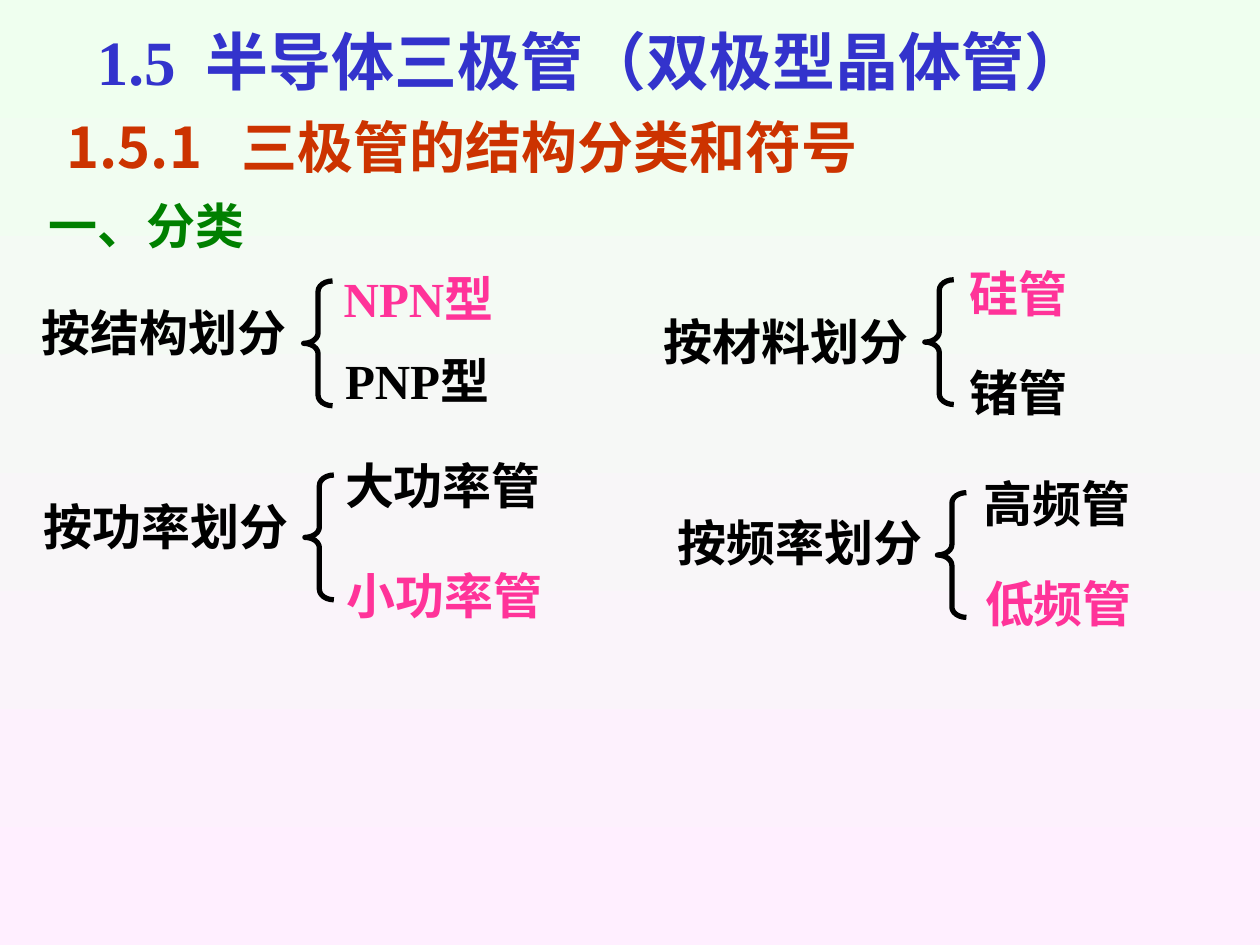
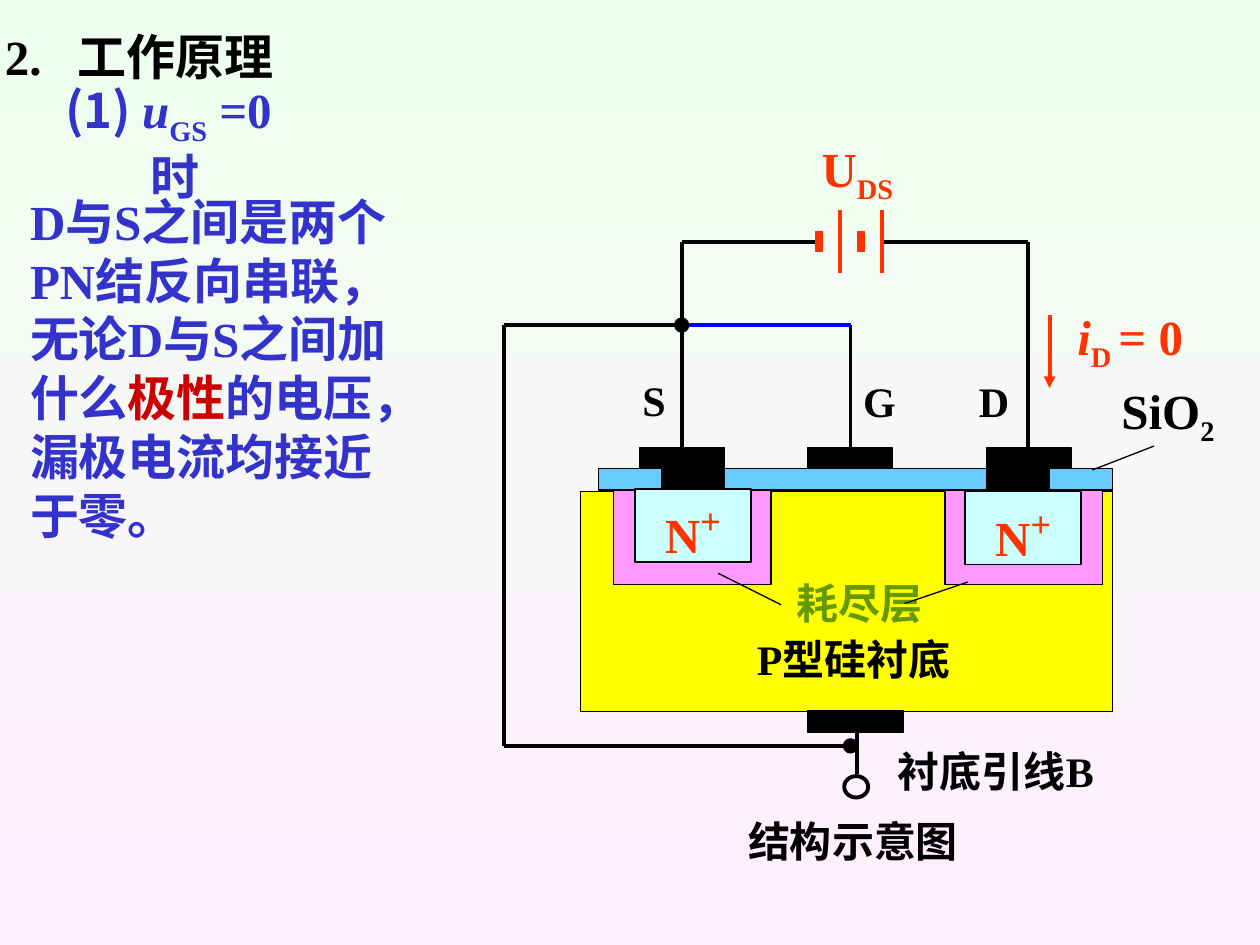
from dataclasses import dataclass

from lxml import etree
from pptx import Presentation
from pptx import util as u
from pptx.dml.color import RGBColor
from pptx.enum import shapes, text
from pptx.oxml.ns import qn


@dataclass(frozen=True)
class Theme:
    background: tuple = ("EFFFEF", "FFEFFF")
    black: str = "000000"
    blue: str = "3333CC"
    wire_blue: str = "0000FF"
    brown: str = "CC3300"
    green: str = "008000"
    olive: str = "669900"
    pink: str = "FF3399"
    red: str = "FF3300"
    emphasis: str = "CC0000"
    oxide: str = "66CCFF"
    substrate: str = "FFFF00"
    depletion: str = "FF99FF"
    well: str = "CCFFFF"
    title: int = 36
    subtitle: int = 32
    body: int = 28
    label: int = 24
    latin: str = "Times New Roman"
    cjk: str = "Noto Sans CJK SC"


theme = Theme()
LEFT, CENTER = text.PP_ALIGN.LEFT, text.PP_ALIGN.CENTER
TOP, MIDDLE = text.MSO_ANCHOR.TOP, text.MSO_ANCHOR.MIDDLE


def add_text(slide, box, paragraphs, color=theme.black, size=theme.body,
             align=LEFT, anchor=MIDDLE, tab=None):
    """Add bold text; a paragraph is a string or a list of (string, format) runs.

    A format may hold font values plus "color" and "baseline". Centred text
    has no side margins, so that labels fit their narrow boxes.
    """
    frame = slide.shapes.add_textbox(*map(u.Inches, box)).text_frame
    frame.word_wrap = True
    frame.vertical_anchor = anchor
    if align == CENTER:
        frame.margin_left = frame.margin_right = 0
    for index, content in enumerate(paragraphs):
        paragraph = frame.paragraphs[0] if index == 0 else frame.add_paragraph()
        paragraph.alignment = align
        if tab:
            tabs = etree.SubElement(paragraph._p.get_or_add_pPr(), qn("a:tabLst"))
            etree.SubElement(tabs, qn("a:tab"), pos=str(u.Inches(tab)), algn="l")
        runs = [(content, {})] if isinstance(content, str) else content
        for words, changes in runs:
            run = paragraph.add_run()
            run.text = words
            values = {"name": theme.latin, "size": u.Pt(size), "bold": True} | changes
            run.font.color.rgb = RGBColor.from_string(values.pop("color", color))
            baseline = values.pop("baseline", 0)
            for name, value in values.items():
                setattr(run.font, name, value)
            properties = run._r.get_or_add_rPr()
            if baseline:
                properties.set("baseline", str(baseline * 1000))
            east_asian = etree.Element(qn("a:ea"), typeface=theme.cjk)
            properties.find(qn("a:latin")).addnext(east_asian)
    if any(ord(letter) > 0x2E80 for letter in frame.text):
        for paragraph in frame.paragraphs:
            paragraph.line_spacing = u.Pt(size * 1.2)


def add_preset(slide, preset, box, fill=None, weight=0.75):
    shape = slide.shapes.add_shape(preset, *map(u.Inches, box))
    shape.shadow.inherit = False
    if fill:
        shape.fill.solid()
        shape.fill.fore_color.rgb = RGBColor.from_string(fill)
    else:
        shape.fill.background()
    shape.line.color.rgb = RGBColor.from_string(theme.black)
    shape.line.width = u.Pt(weight)
    return shape


presentation = Presentation()
presentation.slide_width, presentation.slide_height = u.Inches(10), u.Inches(7.5)
blank = presentation.slide_layouts[6]
classes_slide, principle_slide = [presentation.slides.add_slide(blank) for _ in range(2)]
for slide in (classes_slide, principle_slide):
    fill = slide.background.fill
    fill.gradient()
    fill.gradient_angle = 270
    for stop, color in zip(fill.gradient_stops, theme.background):
        stop.color.rgb = RGBColor.from_string(color)

# Slide 1: kinds of transistor
add_text(classes_slide, (0.67, -0.15, 9, 1.25), ["1.5\t半导体三极管（双极型晶体管）"],
         theme.blue, theme.title, tab=0.86)
add_text(classes_slide, (0.43, 0.84, 7.17, 0.64),
         [[("1.5.1\t三极管的结构分类和符号", {"name": theme.cjk})]],
         theme.brown, theme.subtitle, tab=1.39)
add_text(classes_slide, (0.29, 1.5, 2.73, 0.57), ["一、分类"], theme.green, anchor=TOP)

# criterion, its position, brace position, then (kind, left, top, colour)
criteria = [
    ("按结构划分", (0.23, 2.35), (2.41, 2.23),
     [("NPN型", 2.63, 2.08, theme.pink), ("PNP型", 2.64, 2.73, theme.black)]),
    ("按材料划分", (5.17, 2.42), (7.34, 2.22),
     [("硅管", 7.6, 2.04, theme.pink), ("锗管", 7.6, 2.83, theme.black)]),
    ("按功率划分", (0.25, 3.89), (2.42, 3.77),
     [("大功率管", 2.64, 3.57, theme.black), ("小功率管", 2.65, 4.44, theme.pink)]),
    ("按频率划分", (5.28, 4.02), (7.44, 3.91),
     [("高频管", 7.71, 3.71, theme.black), ("低频管", 7.72, 4.5, theme.pink)]),
]
for criterion, label_at, brace_at, kinds in criteria:
    add_text(classes_slide, (*label_at, 2.3, 0.57), [criterion], anchor=TOP)
    brace = add_preset(classes_slide, shapes.MSO_SHAPE.LEFT_BRACE,
                       (*brace_at, 0.23, 0.99), weight=3)
    brace.adjustments[0] = 0.36
    for kind, left, top, color in kinds:
        add_text(classes_slide, (left, top, 2, 0.57), [kind], color, anchor=TOP)

# Slide 2: how the field-effect transistor works
add_text(principle_slide, (-0.06, 0.16, 2.5, 0.57), ["2.\t工作原理"], tab=0.58)
subscript = {"baseline": -25}
add_text(principle_slide, (0.14, 0.85, 2.49, 0.63),
         [[("(1) ", {"name": theme.cjk}), ("u", {"italic": True}),
           ("GS", subscript), (" =0 ", {})], "时"],
         theme.blue, align=CENTER)
add_text(principle_slide, (0.14, 1.47, 3.7, 3.37),
         ["D与S之间是两个", "PN结反向串联，", "无论D与S之间加",
          [("什么", {}), ("极性", {"color": theme.emphasis}), ("的电压，", {})],
          "漏极电流均接近", "于零。"],
         theme.blue, anchor=TOP)

layers = [
    ((4.75, 3.72, 4.08, 0.17), theme.oxide),
    ((4.61, 3.9, 4.22, 1.75), theme.substrate),
    ((4.87, 3.89, 1.25, 0.75), theme.depletion),
    ((7.5, 3.89, 1.25, 0.75), theme.depletion),
    ((5.25, 3.71, 0.5, 0.17), theme.black),
    ((5.08, 3.55, 0.67, 0.17), theme.black),
    ((6.41, 3.55, 0.67, 0.17), theme.black),
    ((7.83, 3.72, 0.5, 0.17), theme.black),
    ((7.83, 3.55, 0.67, 0.17), theme.black),
    ((6.41, 5.64, 0.76, 0.17), theme.black),
    ((5.04, 3.88, 0.92, 0.58), theme.well),
    ((7.66, 3.9, 0.92, 0.58), theme.well),
]
for box, color in layers:
    add_preset(principle_slide, shapes.MSO_SHAPE.RECTANGLE, box, color)

captions = [
    ("结构示意图", (5.84, 6.42, 1.86, 0.5), theme.black),
    ("P型硅衬底", (5.87, 4.98, 1.81, 0.5), theme.black),
    ("耗尽层", (6.08, 4.53, 1.48, 0.5), theme.olive),
    ("衬底引线B", (6.89, 5.87, 2.03, 0.5), theme.black),
    ("S", (5, 2.92, 0.38, 0.5), theme.black),
    ("G", (6.75, 2.93, 0.46, 0.5), theme.black),
    ("D", (7.67, 2.93, 0.44, 0.5), theme.black),
]
for caption, box, color in captions:
    add_text(principle_slide, box, [caption], color, theme.label, CENTER)

doped = [("N", {}), ("+", {"size": u.Pt(theme.title), "baseline": 30})]
symbols = [
    ([("SiO", {}), ("2", subscript)], (8.8, 2.97, 0.94, 0.63), theme.black),
    ([("U", {}), ("DS", subscript)], (6.42, 1.05, 0.77, 0.63), theme.red),
    ([("i", {"italic": True}), ("D", subscript), (" ", {"size": u.Pt(16)}), ("= 0", {})],
     (8.45, 2.38, 1.04, 0.63), theme.red),
    (doped, (5.18, 3.84, 0.64, 0.7), theme.red),
    (doped, (7.8, 3.87, 0.64, 0.7), theme.red),
]
for runs, box, color in symbols:
    add_text(principle_slide, box, [runs], color, align=CENTER)

# each style: colour, weight, arrowhead, then the lines as x1, y1, x2, y2
line_styles = [
    (theme.black, 0.75, False, [  # leaders
        (8.67, 3.73, 9.16, 3.54), (7.18, 4.79, 7.68, 4.62), (6.2, 4.8, 5.7, 4.55)]),
    (theme.black, 2.25, False, [  # wires
        (5.41, 1.92, 6.5, 1.92), (7, 1.92, 8.16, 1.92), (8.16, 1.92, 8.16, 3.55),
        (5.41, 1.92, 5.41, 3.58), (6.75, 2.58, 6.75, 3.55), (5.41, 2.58, 4, 2.58),
        (4, 2.58, 4, 5.92), (4, 5.92, 6.75, 5.92), (6.8, 5.81, 6.8, 6.14)]),
    (theme.wire_blue, 2.25, False, [(5.41, 2.58, 6.75, 2.58)]),
    (theme.red, 4.5, False, [(x, 1.83, x, 2) for x in (6.5, 6.83)]),  # battery
    (theme.red, 2.25, False, [(x, 1.67, x, 2.17) for x in (6.67, 7)]),
    (theme.red, 2.25, True, [(8.33, 2.5, 8.33, 3.08)]),  # drain current
]
for color, weight, arrow, lines in line_styles:
    for ends in lines:
        connector = principle_slide.shapes.add_connector(
            shapes.MSO_CONNECTOR.STRAIGHT, *map(u.Inches, ends))
        connector.line.color.rgb = RGBColor.from_string(color)
        connector.line.width = u.Pt(weight)
        properties = connector._element.spPr
        if arrow:
            etree.SubElement(properties.find(qn("a:ln")), qn("a:tailEnd"), type="triangle")
        etree.SubElement(properties, qn("a:effectLst"))

for left, top in ((5.37, 2.54), (6.71, 5.88)):  # junctions
    add_preset(principle_slide, shapes.MSO_SHAPE.OVAL, (left, top, 0.08, 0.08), theme.black, 3)
add_preset(principle_slide, shapes.MSO_SHAPE.OVAL, (6.7, 6.16, 0.19, 0.17), weight=2.25)

presentation.save("out.pptx")
